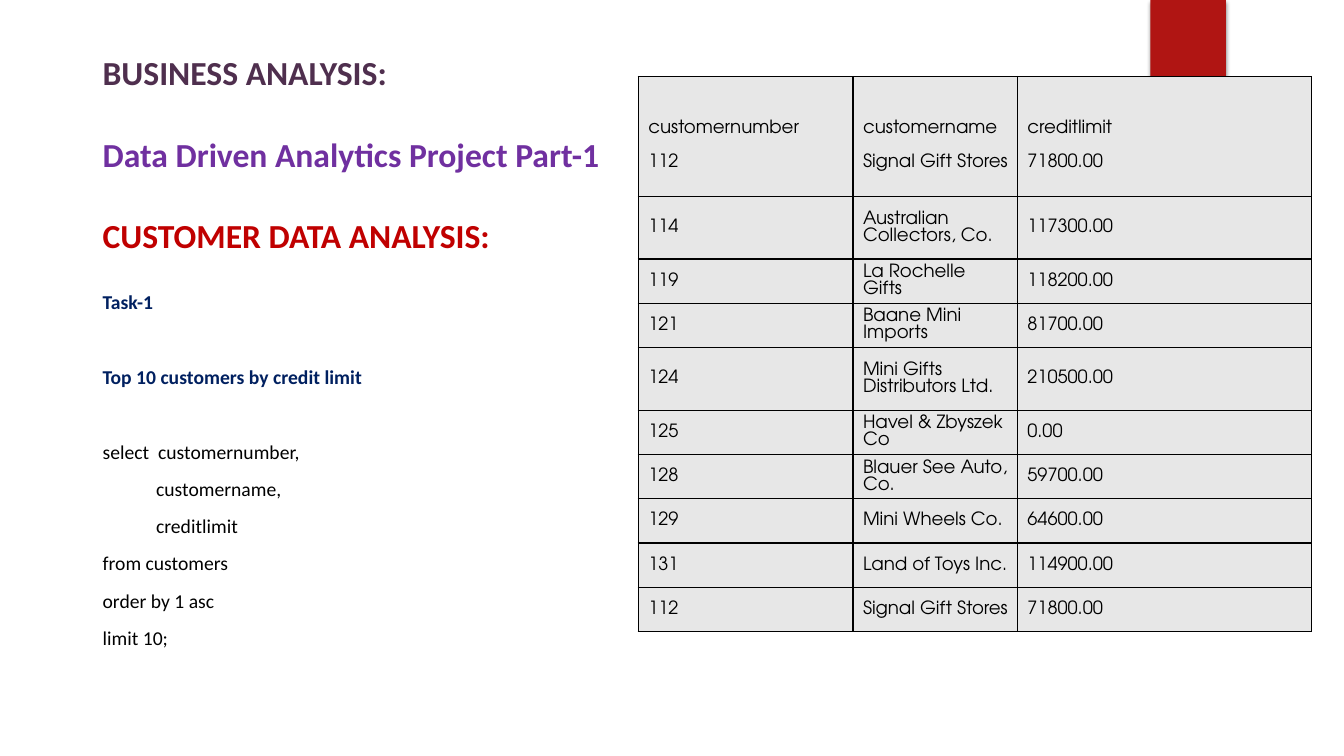
import pptx
import pptx.util
import pptx.dml.color
import pptx.enum.shapes
import pptx.enum.text
import pptx.oxml
from dataclasses import dataclass
from lxml import etree

Pt, Inches = pptx.util.Pt, pptx.util.Inches
ANCHOR = pptx.enum.text.MSO_ANCHOR
NS = "http://schemas.openxmlformats.org/drawingml/2006/main"


@dataclass(frozen=True)
class Theme:
    text_font: str = "Calibri"
    table_font: str = "TeX Gyre Adventor"
    plum: str = "4F2F4E"
    purple: str = "7030A0"
    red: str = "C00000"
    navy: str = "002060"
    black: str = "000000"
    ribbon: str = "B01513"
    cell: str = "E7E7E7"
    title_size: float = 24
    body_size: float = 14
    table_size: float = 13
    table_line: float = 12.15


T = Theme()

TITLE = [
    ("BUSINESS ANALYSIS:", T.plum),
    ("Data Driven Analytics Project Part-1", T.purple),
    ("CUSTOMER DATA ANALYSIS:", T.red),
]
TASK = ["Task-1", "Top 10 customers by credit limit"]
QUERY = [  # (indent level, line)
    (0, "select  customernumber,"),
    (1, "customername,"),
    (1, "creditlimit"),
    (0, "from customers"),
    (0, "order by 1 asc"),
    (0, "limit 10;"),
]
HEADER = ("customernumber", "customername", "creditlimit")
CUSTOMERS = [
    ("112", "Signal Gift Stores", "71800.00"),
    ("114", "Australian Collectors, Co.", "117300.00"),
    ("119", "La Rochelle Gifts", "118200.00"),
    ("121", "Baane Mini Imports", "81700.00"),
    ("124", "Mini Gifts Distributors Ltd.", "210500.00"),
    ("125", "Havel & Zbyszek Co", "0.00"),
    ("128", "Blauer See Auto, Co.", "59700.00"),
    ("129", "Mini Wheels Co.", "64600.00"),
    ("131", "Land of Toys Inc.", "114900.00"),
    ("112", "Signal Gift Stores", "71800.00"),
]

COL_WIDTHS = (2.13, 1.63, 2.92)
ROW_HEIGHT = 0.44
TALL_ROWS = {0: 1.19, 1: 0.62, 4: 0.62}
TITLE_GAP = 29.2
BODY_GAP = 9.75
SECTION_GAP = 36.6
CODE_INDENT = 0.53


def rgb(value):
    return pptx.dml.color.RGBColor.from_string(value)


def box(s, left, top, width, height, anchor):
    tf = s.shapes.add_textbox(*map(Inches, (left, top, width, height))).text_frame
    tf.word_wrap = True
    tf.vertical_anchor = anchor
    return tf


def write(tf, lines, font, size, line=None):
    """Fill a text frame from (text, colour, bold, space before, indent) rows."""
    tf.text = "\n".join(row[0] for row in lines)
    for p, (_, color, bold, before, indent) in zip(tf.paragraphs, lines):
        p.space_before = Pt(before)
        if line:
            p.line_spacing = Pt(line)
        if indent:
            p._p.get_or_add_pPr().set("marL", str(Inches(indent)))
        for r in p.runs:
            r.font.name, r.font.size, r.font.bold = font, Pt(size), bold
            r.font.color.rgb = rgb(color)


def add_borders(cell):
    pr = cell._tc.get_or_add_tcPr()
    for i, side in enumerate(("lnL", "lnR", "lnT", "lnB")):
        pr.insert(i, pptx.oxml.parse_xml(
            f'<a:{side} xmlns:a="{NS}" w="12700"><a:solidFill>'
            f'<a:srgbClr val="{T.black}"/></a:solidFill></a:{side}>'))


def add_ribbon(s):
    sp = s.shapes.add_shape(pptx.enum.shapes.MSO_SHAPE.RECTANGLE,
                            Inches(11.41), 0, Inches(0.75), Inches(1.25))
    sp.fill.solid()
    sp.fill.fore_color.rgb = rgb(T.ribbon)
    sp.line.fill.background()
    sp.shadow.inherit = False
    effects = sp._element.spPr.find(f"{{{NS}}}effectLst")
    shadow = etree.SubElement(effects, f"{{{NS}}}outerShdw", blurRad=str(Pt(3)),
                              dist=str(Pt(2)), dir="5400000", rotWithShape="0")
    color = etree.SubElement(shadow, f"{{{NS}}}srgbClr", val=T.black)
    etree.SubElement(color, f"{{{NS}}}alpha", val="45000")


def add_customer_table(s):
    heights = [TALL_ROWS.get(i, ROW_HEIGHT) for i in range(len(CUSTOMERS))]
    table = s.shapes.add_table(
        len(heights), len(COL_WIDTHS), Inches(6.33), Inches(0.76),
        Inches(sum(COL_WIDTHS)), Inches(sum(heights))).table
    table.first_row = table.horz_banding = False
    for col, width in zip(table.columns, COL_WIDTHS):
        col.width = Inches(width)
    for i, (row, customer) in enumerate(zip(table.rows, CUSTOMERS)):
        row.height = Inches(heights[i])
        for cell, label, value in zip(row.cells, HEADER, customer):
            lines = [(value, T.black, False, 0, 0)]
            cell.margin_top = cell.margin_bottom = Inches(0.04)
            cell.margin_left, cell.margin_right = Inches(0.1), Inches(0.08)
            if i == 0:  # the labels share the first row with its values
                lines = [(label, T.black, False, 0, 0),
                         (value, T.black, False, T.table_line, 0)]
                cell.margin_top += Pt(T.table_line)
            write(cell.text_frame, lines, T.table_font, T.table_size, T.table_line)
            cell.vertical_anchor = ANCHOR.MIDDLE
            cell.fill.solid()
            cell.fill.fore_color.rgb = rgb(T.cell)
            add_borders(cell)


def main():
    prs = pptx.Presentation()
    prs.slide_width, prs.slide_height = Inches(13.33), Inches(7.5)
    s = prs.slides.add_slide(prs.slide_layouts[6])
    add_ribbon(s)

    title = [(text, color, True, TITLE_GAP if i else 0, 0)
             for i, (text, color) in enumerate(TITLE)]
    write(box(s, 0.92, 0.12, 6.33, 2.46, ANCHOR.BOTTOM),
          title, T.text_font, T.title_size)

    add_customer_table(s)

    body = [(text, T.navy, True, SECTION_GAP if i else 0, 0)
            for i, text in enumerate(TASK)]
    body += [(text, T.black, False, BODY_GAP if i else SECTION_GAP, level * CODE_INDENT)
             for i, (level, text) in enumerate(QUERY)]
    write(box(s, 0.92, 2.83, 6.33, 3.82, ANCHOR.TOP),
          body, T.text_font, T.body_size)
    prs.save("out.pptx")


if __name__ == "__main__":
    main()
